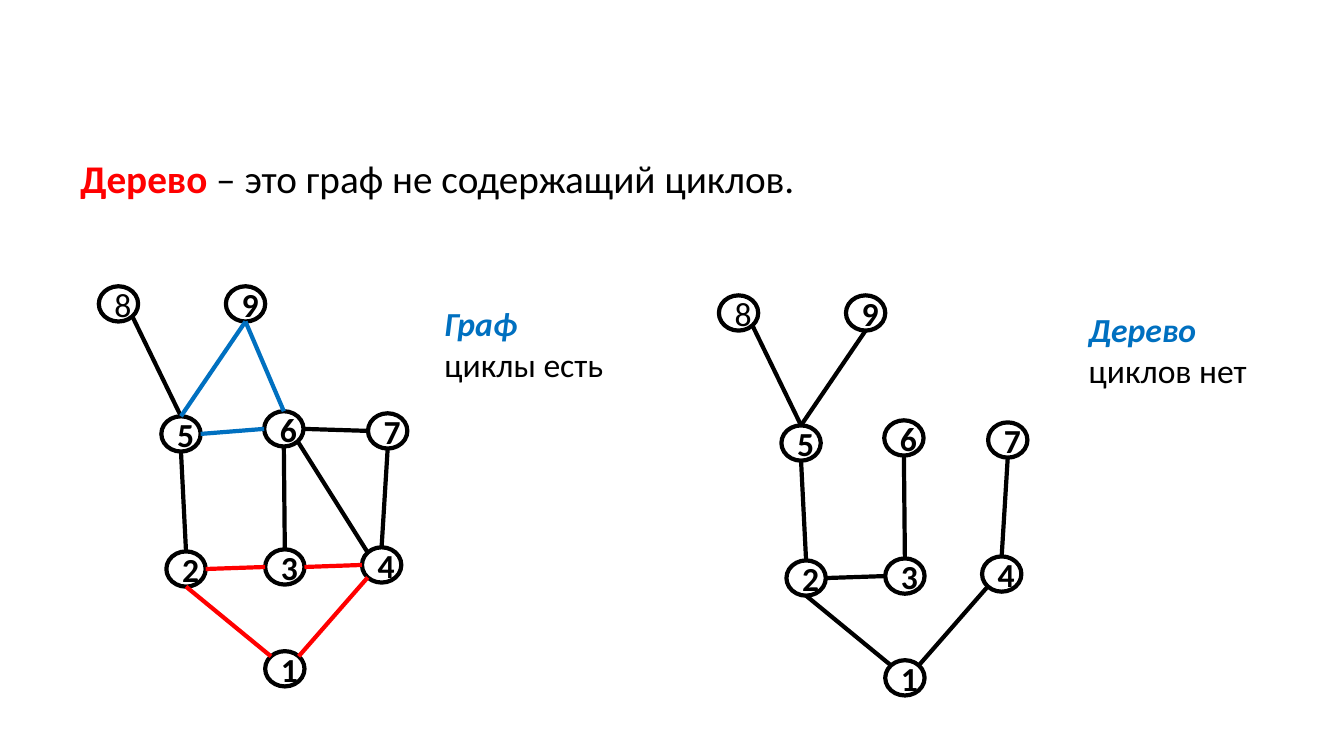
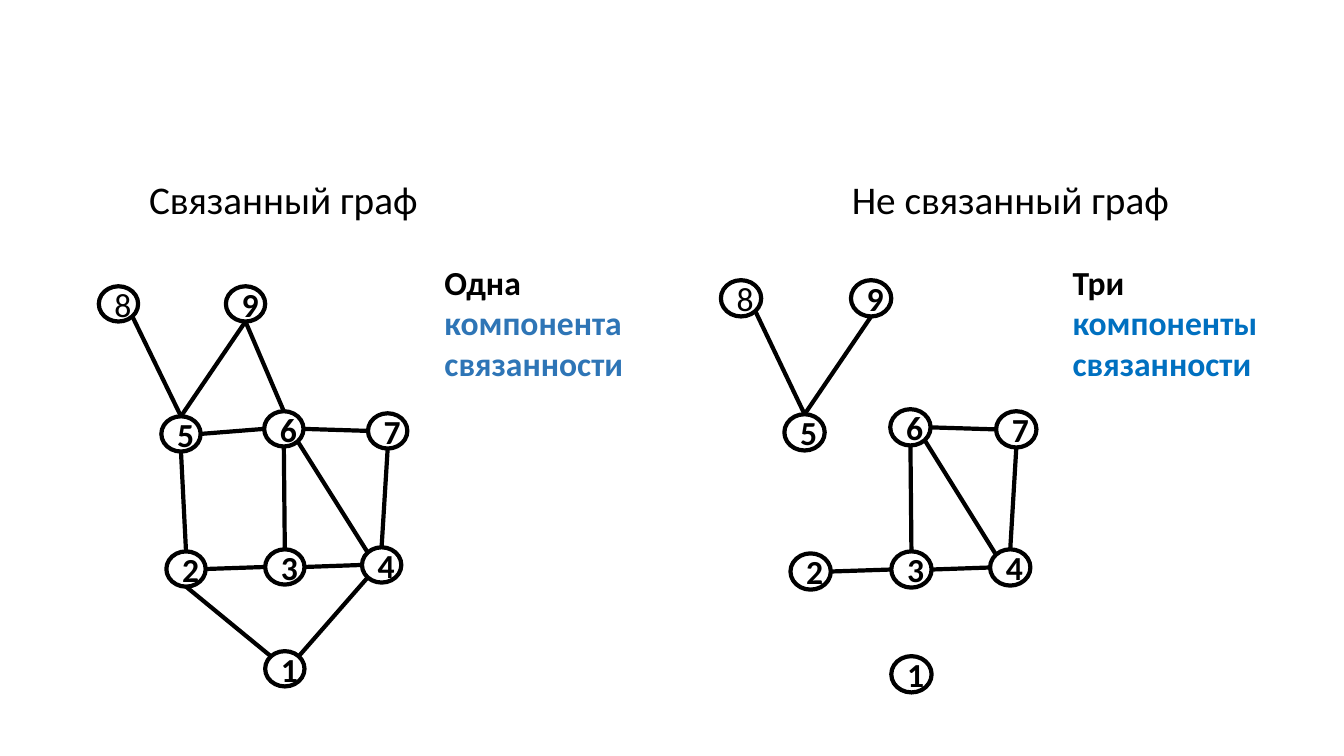
from dataclasses import dataclass, field
from math import cos, radians, sin
from typing import NamedTuple

from lxml import etree
from pptx import Presentation
from pptx.dml.color import RGBColor
from pptx.enum.shapes import MSO_CONNECTOR, MSO_SHAPE
from pptx.enum.text import MSO_ANCHOR, MSO_AUTO_SIZE, PP_ALIGN
from pptx.oxml.ns import qn
from pptx.shapes.autoshape import Shape
from pptx.slide import Slide
from pptx.util import Emu, Pt

# Shared style
EMU_PER_PX = 9144  # 100 px to the inch
SLIDE_WIDTH, SLIDE_HEIGHT = 1333, 750
FONT = "Calibri"
TITLE_SIZE, TEXT_SIZE = 28, 24
LINE_WIDTH = 3
COLORS = {
    "black": "000000",
    "red": "FF0000",
    "blue": "0070C0",
    "steel": "2E75B6",
}
STRAIGHT = MSO_CONNECTOR.STRAIGHT
ELLIPSE = MSO_SHAPE.OVAL
MIDDLE = MSO_ANCHOR.MIDDLE
CENTER = PP_ALIGN.CENTER
GROW = MSO_AUTO_SIZE.SHAPE_TO_FIT_TEXT

# Connection sites of an ellipse, counter-clockwise from the top
TOP, TOP_LEFT, LEFT, BOTTOM_LEFT, BOTTOM, BOTTOM_RIGHT, RIGHT, TOP_RIGHT = range(8)


class Edge(NamedTuple):
    start: str
    start_site: int
    end: str
    end_site: int


class Piece(NamedTuple):
    text: str
    color: str = "black"
    bold: bool = False
    italic: bool = False


@dataclass
class TextBlock:
    left: int
    top: int
    width: int
    height: int
    paragraphs: list[list[Piece]]
    size: int = TEXT_SIZE


@dataclass
class Graph:
    left: int
    top: int
    edges: list[str]
    edge_colors: dict[str, str] = field(default_factory=dict)
    node_width: int = 39
    node_height: int = 35
    stretch_x: float = 1
    stretch_y: float = 1


@dataclass
class Page:
    texts: list[TextBlock]
    graphs: list[Graph]


# Node places, measured from node 8
NODES = {
    "8": (0, 0), "9": (126, 0),
    "5": (62, 129), "6": (164, 124), "7": (267, 126),
    "2": (67, 263), "3": (165, 261), "4": (261, 259),
    "1": (165, 362),
}
EDGES = {
    "8-5": Edge("8", BOTTOM_RIGHT, "5", TOP),
    "9-5": Edge("9", BOTTOM, "5", TOP),
    "9-6": Edge("9", BOTTOM, "6", TOP),
    "7-6": Edge("7", LEFT, "6", RIGHT),
    "6-5": Edge("6", LEFT, "5", RIGHT),
    "5-2": Edge("5", BOTTOM, "2", TOP),
    "6-3": Edge("6", BOTTOM, "3", TOP),
    "3-2": Edge("3", LEFT, "2", RIGHT),
    "4-3": Edge("4", LEFT, "3", RIGHT),
    "7-4": Edge("7", BOTTOM, "4", TOP),
    "6-4": Edge("6", BOTTOM_RIGHT, "4", TOP_LEFT),
    "4-1": Edge("4", BOTTOM_LEFT, "1", TOP_RIGHT),
    "2-1": Edge("2", BOTTOM, "1", TOP_LEFT),
}
CYCLE_COLORS = {
    **dict.fromkeys(("9-5", "9-6", "6-5"), "blue"),
    **dict.fromkeys(("3-2", "4-3", "4-1", "2-1"), "red"),
}

PAGES = [
    Page(
        texts=[
            TextBlock(70, 148, 1213, 57, [
                [Piece("Дерево", "red", bold=True),
                 Piece(" – это граф не содержащий циклов.")],
            ], TITLE_SIZE),
            TextBlock(431, 296, 229, 91, [
                [Piece("Граф", "blue", bold=True, italic=True)],
                [Piece("циклы есть")],
            ]),
            TextBlock(1070, 302, 190, 91, [
                [Piece("Дерево", "blue", bold=True, italic=True)],
                [Piece("циклов нет")],
            ]),
        ],
        graphs=[
            Graph(98, 284, list(EDGES), CYCLE_COLORS),
            Graph(713, 293,
                  ["8-5", "9-5", "5-2", "6-3", "3-2", "7-4", "4-1", "2-1"]),
        ],
    ),
    Page(
        texts=[
            TextBlock(138, 169, 320, 57, [[Piece("Связанный граф")]], TITLE_SIZE),
            TextBlock(835, 169, 380, 57, [[Piece("Не связанный граф")]], TITLE_SIZE),
            TextBlock(431, 255, 229, 131, [
                [Piece("Одна", bold=True)],
                [Piece("компонента связанности", "steel", bold=True)],
            ]),
            TextBlock(1054, 255, 229, 131, [
                [Piece("Три", bold=True)],
                [Piece("компоненты связанности", "blue", bold=True)],
            ]),
        ],
        graphs=[
            Graph(98, 284, list(EDGES)),
            Graph(715, 278,
                  ["8-5", "9-5", "7-6", "6-3", "3-2", "4-3", "7-4", "6-4"],
                  node_width=40, node_height=36, stretch_x=1.024, stretch_y=1.03),
        ],
    ),
]


def px(length: float) -> Emu:
    return Emu(round(length * EMU_PER_PX))


def rgb(name: str) -> RGBColor:
    return RGBColor.from_string(COLORS[name])


def format_run(run, piece: Piece, size: int) -> None:
    run.font.name = FONT
    run.font.size = Pt(size)
    run.font.bold = piece.bold
    run.font.italic = piece.italic
    run.font.color.rgb = rgb(piece.color)


def add_text(slide: Slide, block: TextBlock) -> None:
    box = slide.shapes.add_textbox(
        px(block.left), px(block.top), px(block.width), px(block.height))
    frame = box.text_frame
    frame.word_wrap = True
    frame.auto_size = GROW
    for index, pieces in enumerate(block.paragraphs):
        paragraph = frame.add_paragraph() if index else frame.paragraphs[0]
        for piece in pieces:
            run = paragraph.add_run()
            run.text = piece.text
            format_run(run, piece, block.size)


def add_node(slide: Slide, graph: Graph, name: str) -> Shape:
    x, y = NODES[name]
    shape = slide.shapes.add_shape(
        ELLIPSE,
        px(graph.left + round(x * graph.stretch_x)),
        px(graph.top + round(y * graph.stretch_y)),
        px(graph.node_width), px(graph.node_height))
    shape.shadow.inherit = False
    shape.fill.background()
    shape.line.color.rgb = rgb("black")
    shape.line.width = Pt(LINE_WIDTH)
    frame = shape.text_frame
    frame.vertical_anchor = MIDDLE
    frame.text = name
    paragraph = frame.paragraphs[0]
    paragraph.alignment = CENTER
    format_run(paragraph.runs[0], Piece(name, bold=name != "8"), TEXT_SIZE)
    return shape


def site_point(shape: Shape, site: int) -> tuple[Emu, Emu]:
    angle = radians(90 + 45 * site)
    x = shape.left + shape.width / 2 * (1 + cos(angle))
    y = shape.top + shape.height / 2 * (1 - sin(angle))
    return Emu(round(x)), Emu(round(y))


def add_edge(slide: Slide, nodes: dict[str, Shape], edge: Edge, color: str) -> None:
    start, end = nodes[edge.start], nodes[edge.end]
    connector = slide.shapes.add_connector(
        STRAIGHT, *site_point(start, edge.start_site), *site_point(end, edge.end_site))
    connector.line.color.rgb = rgb(color)
    connector.line.width = Pt(LINE_WIDTH)
    etree.SubElement(connector._element.spPr, qn("a:effectLst"))
    # An ellipse has eight sites, so the ends are glued without being moved
    connector._connect_begin_to(start, edge.start_site)
    connector._connect_end_to(end, edge.end_site)


def add_graph(slide: Slide, graph: Graph) -> None:
    nodes = {name: add_node(slide, graph, name) for name in NODES}
    for key in graph.edges:
        add_edge(slide, nodes, EDGES[key], graph.edge_colors.get(key, "black"))


def main() -> None:
    presentation = Presentation()
    presentation.slide_width = px(SLIDE_WIDTH)
    presentation.slide_height = px(SLIDE_HEIGHT)
    blank_layout = presentation.slide_layouts[6]
    for page in PAGES:
        slide = presentation.slides.add_slide(blank_layout)
        for graph in page.graphs:
            add_graph(slide, graph)
        for block in page.texts:
            add_text(slide, block)
    presentation.save("out.pptx")


if __name__ == "__main__":
    main()
